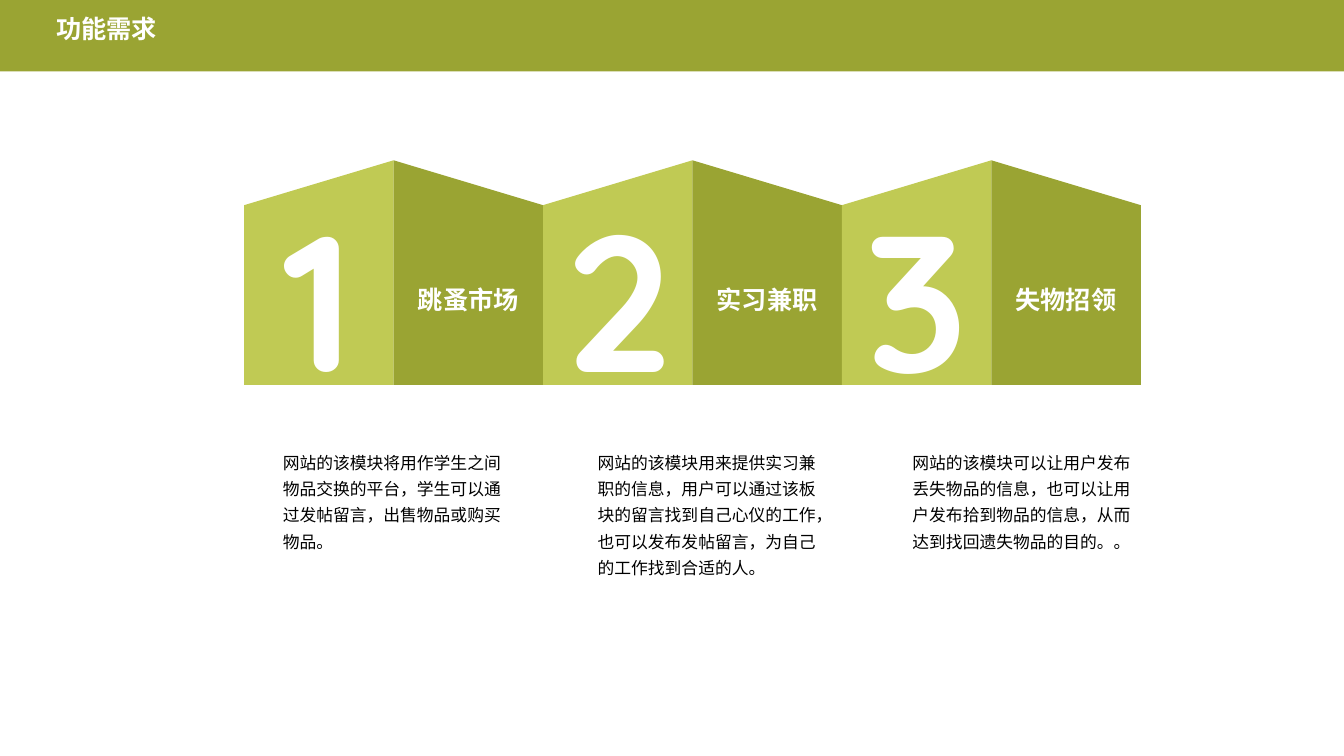
from lxml.etree import SubElement
from pptx import Presentation
from pptx.dml.color import RGBColor
from pptx.enum.shapes import MSO_SHAPE
from pptx.enum.text import MSO_ANCHOR, PP_ALIGN
from pptx.oxml.ns import qn
from pptx.util import Pt

COLORS = {"olive": "9AA433", "lime": "C0CA54", "white": "FFFFFF", "black": "000000"}
SANS, ROUND = "Noto Sans CJK SC", "Quicksand"


def write(tf, text, size=12, font=SANS, color="black", bold=False,
          align=PP_ALIGN.LEFT, spacing=1.0, anchor=MSO_ANCHOR.TOP):
    tf.word_wrap = True
    tf.vertical_anchor = anchor
    p = tf.paragraphs[0]
    p.alignment, p.line_spacing = align, spacing
    r = p.add_run()
    r.text = text
    r.font.size, r.font.bold = Pt(size), bold
    r.font.color.rgb = RGBColor.from_string(COLORS[color])
    r.font.name = font
    SubElement(r.font._element, qn("a:ea"), typeface=font)


class Deck:
    def __init__(self, width, height):
        self.prs = Presentation()
        self.prs.slide_width, self.prs.slide_height = Pt(width), Pt(height)
        self.slide = self.prs.slides.add_slide(self.prs.slide_layouts[6])

    def shape(self, kind, x, y, w, h, color):
        s = self.slide.shapes.add_shape(kind, Pt(x), Pt(y), Pt(w), Pt(h))
        s.shadow.inherit = False
        s.fill.solid()
        s.fill.fore_color.rgb = RGBColor.from_string(COLORS[color])
        s.line.fill.background()
        return s

    def panel(self, x, y, w, h, color, text, flip=False, **fmt):
        s = self.shape(MSO_SHAPE.FLOWCHART_MANUAL_INPUT, x, y, w, h, color)
        if flip:
            s._element.spPr.get_or_add_xfrm().set("flipH", "1")
        write(s.text_frame, text, color="white", bold=True,
              align=PP_ALIGN.CENTER, anchor=MSO_ANCHOR.MIDDLE, **fmt)

    def text(self, x, y, w, h, text, **fmt):
        s = self.slide.shapes.add_textbox(Pt(x), Pt(y), Pt(w), Pt(h))
        write(s.text_frame, text, **fmt)


MODULES = [
    ("跳蚤市场", "网站的该模块将用作学生之间物品交换的平台，学生可以通过发帖留言，出售物品或购买物品。"),
    ("实习兼职", "网站的该模块用来提供实习兼职的信息，用户可以通过该板块的留言找到自己心仪的工作，"
                 "也可以发布发帖留言，为自己的工作找到合适的人。"),
    ("失物招领", "网站的该模块可以让用户发布丢失物品的信息，也可以让用户发布拾到物品的信息，"
                 "从而达到找回遗失物品的目的。。"),
]
PANEL_X, PANEL_Y, PANEL_W, PANEL_H = 174.5, 114.5, 106.8, 160.4
NOTE_X, NOTE_Y, NOTE_STEP = 195, 315.5, 225


def main():
    deck = Deck(960.5, 540)

    # Header band and title
    deck.shape(MSO_SHAPE.RECTANGLE, 0, 0, 960.5, 51, "olive")
    deck.text(33, 8.6, 301, 29, "功能需求", size=18, font=ROUND,
              color="white", bold=True, spacing=0.9)

    # Folded panels: number on the left, module name on the right
    for i, (name, _) in enumerate(MODULES):
        x = PANEL_X + 2 * i * PANEL_W
        deck.panel(x, PANEL_Y, PANEL_W, PANEL_H, "lime", str(i + 1),
                   size=138, font=ROUND)
        deck.panel(x + PANEL_W, PANEL_Y, PANEL_W, PANEL_H, "olive", name,
                   flip=True, size=18, spacing=1.3)

    # Module descriptions
    for i, (_, note) in enumerate(MODULES):
        deck.text(NOTE_X + i * NOTE_STEP, NOTE_Y, 181.5, 101, note, spacing=1.3)

    deck.prs.save("out.pptx")


if __name__ == "__main__":
    main()
